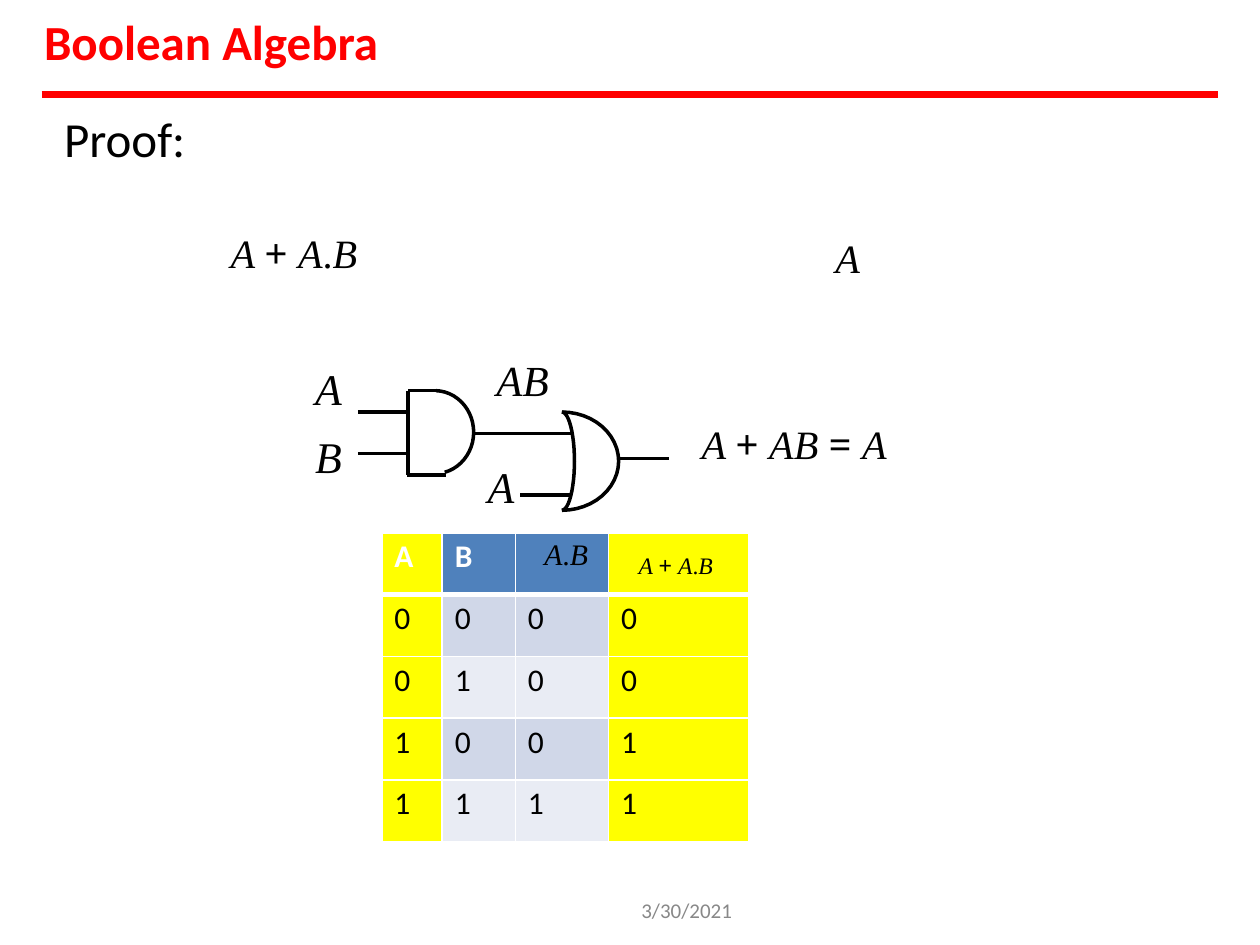
from itertools import groupby
from math import cos, radians, sin

from lxml import etree
from pptx import Presentation
from pptx import util as u
from pptx.dml.color import RGBColor
from pptx.enum import shapes, text
from pptx.oxml.ns import qn

BLACK = RGBColor(0, 0, 0)
WHITE = RGBColor(255, 255, 255)
RED = RGBColor(255, 0, 0)
GRAY = RGBColor(0x88, 0x88, 0x88)
YELLOW = RGBColor(255, 255, 0)
BLUE = RGBColor(0x4F, 0x81, 0xBC)
BAND_DARK = RGBColor(0xD0, 0xD7, 0xE8)
BAND_LIGHT = RGBColor(0xE9, 0xEC, 0xF4)

BODY_FONT = "Calibri"
MATH_FONT = "Times New Roman"
SIGN_FONT = "Noto Sans"


def split_formula(formula):
    """Split into variables, signs and dots; a space stays with what precedes it."""
    kinds = []
    for letter in formula:
        if letter == " ":
            kinds.append(kinds[-1])
        elif letter in "+=":
            kinds.append("sign")
        else:
            kinds.append("dot" if letter == "." else "variable")
    for kind, pairs in groupby(zip(kinds, formula), key=lambda pair: pair[0]):
        yield kind, "".join(letter for _, letter in pairs)


def arc(center_x, center_y, radius_x, radius_y, start, end, steps=24):
    """Points on an ellipse, angles in degrees clockwise from the right."""
    angles = [radians(start + (end - start) * i / steps) for i in range(steps + 1)]
    return [(center_x + radius_x * cos(a), center_y + radius_y * sin(a)) for a in angles]


class SlideWriter:
    def __init__(self, page):
        self.page = page

    def style(self, span, size, color, font=BODY_FONT, bold=False, italic=False):
        span.font.name = font
        span.font.size = u.Pt(size)
        span.font.bold = bold
        span.font.italic = italic
        span.font.color.rgb = color

    def fill_formula(self, para, formula, size):
        for kind, part in split_formula(formula):
            span = para.add_run()
            span.text = part
            self.style(span, size, BLACK, SIGN_FONT if kind == "sign" else MATH_FONT,
                       italic=kind == "variable")

    def box(self, left, top, width, height, inset):
        box = self.page.shapes.add_textbox(
            u.Inches(left), u.Inches(top), u.Inches(width), u.Inches(height))
        frame = box.text_frame
        frame.word_wrap = True
        frame.vertical_anchor = text.MSO_ANCHOR.TOP
        frame.margin_left, frame.margin_top = u.Inches(0.01), u.Inches(inset)
        frame.margin_right = frame.margin_bottom = 0
        return frame

    def label(self, words, left, top, width, height, inset, size, color, bold=False):
        para = self.box(left, top, width, height, inset).paragraphs[0]
        para.text = words
        self.style(para.runs[0], size, color, bold=bold)

    def formula(self, lines, left, top, width, height, inset, size, gap=0):
        frame = self.box(left, top, width, height, inset)
        for i, line in enumerate(lines):
            para = frame.add_paragraph() if i else frame.paragraphs[0]
            if i:
                para.space_before = u.Pt(gap)
            self.fill_formula(para, line, size)

    def line(self, x1, y1, x2, y2, color=BLACK, weight=2):
        line = self.page.shapes.add_connector(
            shapes.MSO_CONNECTOR.STRAIGHT,
            u.Inches(x1), u.Inches(y1), u.Inches(x2), u.Inches(y2))
        line.line.color.rgb = color
        line.line.width = u.Pt(weight)
        etree.SubElement(line._element.spPr, qn("a:effectLst"))

    def curve(self, points):
        start, *rest = [(u.Inches(x), u.Inches(y)) for x, y in points]
        builder = self.page.shapes.build_freeform(*start)
        builder.add_line_segments(rest, close=False)
        curve = builder.convert_to_shape()
        curve.shadow.inherit = False
        curve.fill.background()
        curve.line.color.rgb = BLACK
        curve.line.width = u.Pt(2)

    def borders(self, cell, **weights):
        properties = cell._tc.get_or_add_tcPr()
        for i, side in enumerate("LRTB"):
            edge = etree.Element(qn("a:ln" + side), w=str(u.Pt(weights.get(side, 1))))
            fill = etree.SubElement(edge, qn("a:solidFill"))
            etree.SubElement(fill, qn("a:srgbClr"), val=str(WHITE))
            properties.insert(i, edge)

    def truth_table(self, rows, left, top, widths, row_height):
        table = self.page.shapes.add_table(
            len(rows), len(widths), u.Inches(left), u.Inches(top),
            u.Inches(sum(widths)), u.Inches(row_height * len(rows))).table
        for column, width in zip(table.columns, widths):
            column.width = u.Inches(width)
        header_math = {2: (0.23, 0.05, 17), 3: (0.24, 0.13, 13.5)}
        for r, row in enumerate(rows):
            table.rows[r].height = u.Inches(row_height)
            band = BAND_DARK if r % 2 else BAND_LIGHT
            for c, value in enumerate(row):
                cell = table.cell(r, c)
                para = cell.text_frame.paragraphs[0]
                indent, inset = 0.1, 0.04
                if r == 0 and c in header_math:
                    indent, inset, size = header_math[c]
                    self.fill_formula(para, value, size)
                else:
                    para.text = value
                    self.style(para.runs[0], 18, BLACK if r else WHITE, bold=r == 0)
                cell.margin_left, cell.margin_top = u.Inches(indent), u.Inches(inset)
                cell.margin_right = cell.margin_bottom = 0
                cell.fill.solid()
                cell.fill.fore_color.rgb = YELLOW if c in (0, 3) else band if r else BLUE
                self.borders(cell, T=3 if r == 1 else 1, B=1 if r else 3)


def main():
    deck = Presentation()
    deck.slide_width, deck.slide_height = u.Inches(10), u.Inches(7.5)
    writer = SlideWriter(deck.slides.add_slide(deck.slide_layouts[6]))

    writer.label("Boolean Algebra", 0.34, 0.08, 2.8, 0.5, 0.01, 28, RED, bold=True)
    writer.line(0.33, 0.75, 9.67, 0.75, RED, 4)
    writer.label("Proof:", 0.5, 0.84, 1.1, 0.5, 0.02, 28, BLACK)

    # AND gate
    writer.line(3.24, 3.1, 3.24, 3.77)
    writer.line(3.24, 3.1, 3.47, 3.1)
    writer.line(3.23, 3.77, 3.54, 3.77, weight=2.37)
    writer.curve(arc(3.45, 3.43, 0.31, 0.33, -88, 75))
    # OR gate
    writer.curve(arc(4.46, 3.66, 0.1, 0.39, -90, 90))
    writer.curve(arc(4.46, 3.66, 0.45, 0.39, -90, 90))
    # Wires
    for start, end, y in [(2.84, 3.24, 3.27), (2.84, 3.24, 3.6), (3.76, 4.53, 3.44),
                          (4.13, 4.53, 3.93), (4.9, 5.31, 3.64)]:
        writer.line(start, y, end, y)

    writer.truth_table(
        [["A", "B", "A.B", "A + A.B"], *("0000", "0100", "1001", "1111")],
        3.03, 4.23, [0.48, 0.58, 0.74, 1.11], 0.49)

    writer.formula(["A + A.B"], 1.82, 1.8, 1.2, 0.41, 0.01, 23)
    writer.formula(["A"], 6.62, 1.83, 0.24, 0.41, 0.02, 23)
    writer.formula(["A + AB = A"], 5.56, 3.31, 1.67, 0.41, 0.02, 23)
    writer.formula(["A", "B"], 2.49, 2.74, 0.28, 1.09, 0.13, 25, gap=8.8)
    writer.formula(["AB"], 3.93, 2.79, 0.5, 0.44, 0.02, 24.5)
    writer.formula(["A"], 3.86, 3.64, 0.26, 0.44, 0.01, 25)
    writer.label("3/30/2021", 5.08, 7.12, 1.25, 0.15, 0, 12, GRAY)

    deck.save("out.pptx")


if __name__ == "__main__":
    main()
